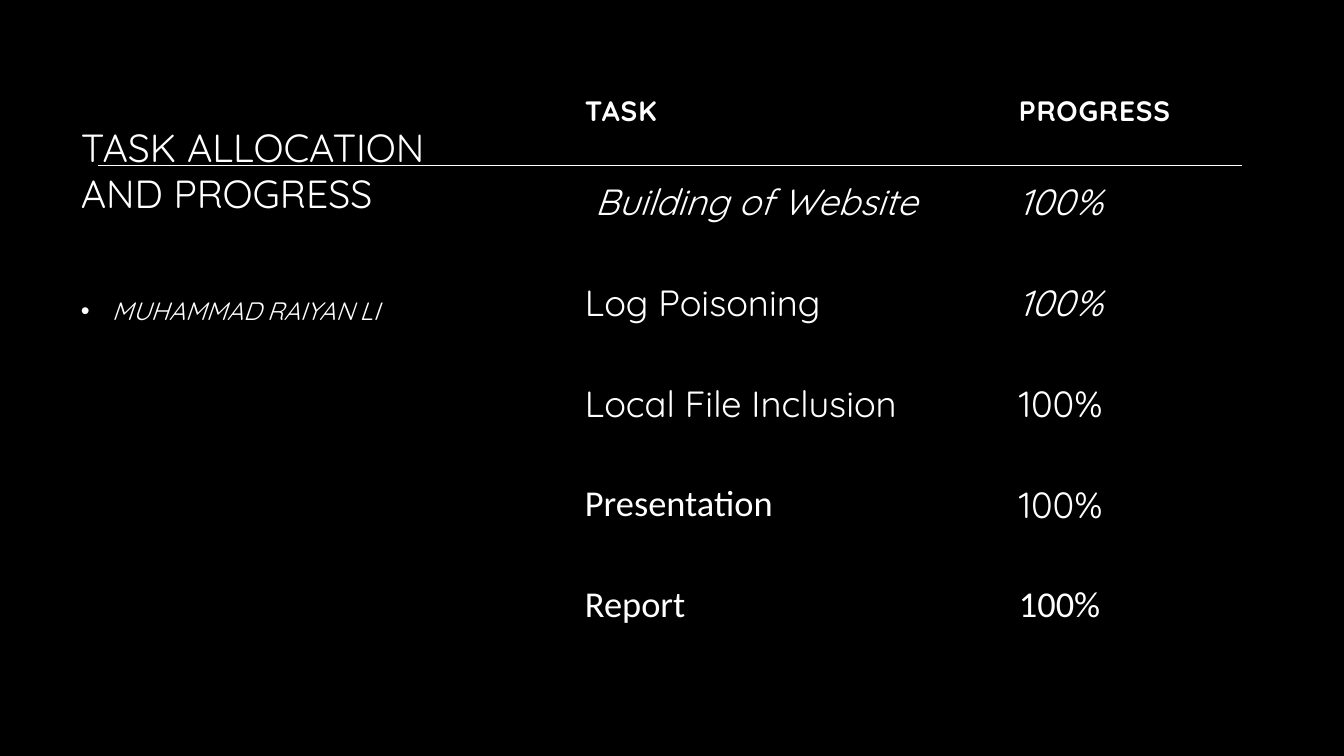
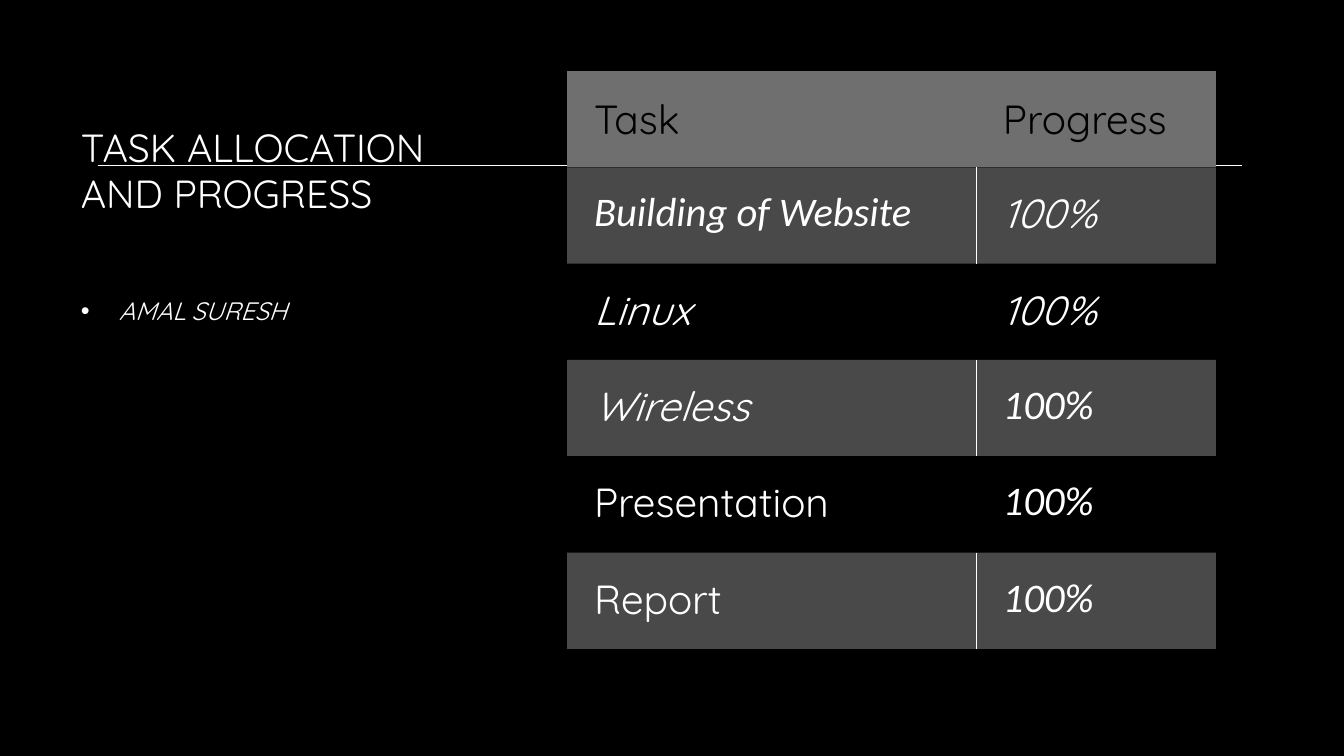
from lxml import etree
from pptx import Presentation
from pptx.dml.color import RGBColor
from pptx.enum.shapes import MSO_CONNECTOR
from pptx.enum.text import MSO_ANCHOR
from pptx.oxml.ns import qn
from pptx.util import Emu, Pt

STRAIGHT = MSO_CONNECTOR.STRAIGHT
TOP, MIDDLE, BOTTOM = MSO_ANCHOR.TOP, MSO_ANCHOR.MIDDLE, MSO_ANCHOR.BOTTOM
SCALE = 12192000 / 1344
COLOURS = {"black": "000000", "white": "FFFFFF", "header": "6F6F6F", "band": "F2F2F2"}
MAIN, PLAIN = "Quicksand", "Calibri"
BAND_ALPHA = 30
NO_STYLE = "{2D5ABB26-0587-4C30-8999-92F81FD0307C}"


def px(length):
    return Emu(round(length * SCALE))


def colour(name):
    return RGBColor.from_string(COLOURS[name])


def add_span(para, text, size, font=MAIN, italic=False, bold=False, ink="white"):
    span = para.add_run()
    span.text = text
    span.font.size = Pt(size)
    span.font.name = font
    span.font.italic = italic
    span.font.bold = bold
    span.font.color.rgb = colour(ink)
    return span


def add_text_box(page, box, anchor):
    frame = page.shapes.add_textbox(*map(px, box)).text_frame
    frame.word_wrap = True
    frame.vertical_anchor = anchor
    return frame.paragraphs[0]


def add_rule(page, left, right, top):
    rule = page.shapes.add_connector(STRAIGHT, px(left), px(top), px(right), px(top))
    rule.line.color.rgb = colour("white")
    rule.line.width = Pt(0.25)
    etree.SubElement(rule._element.spPr, qn("a:effectLst"))


def add_bullet(para, indent):
    properties = para._p.get_or_add_pPr()
    properties.set("marL", str(px(indent)))
    properties.set("indent", str(-px(indent)))
    bullet_colour = etree.SubElement(properties, qn("a:buClr"))
    etree.SubElement(bullet_colour, qn("a:srgbClr"), val=COLOURS["white"])
    etree.SubElement(properties, qn("a:buFont"), typeface="Arial")
    etree.SubElement(properties, qn("a:buChar"), char="•")


def add_member_panel(page, box, member, indent):
    """Heading and team member in the left column."""
    left, top, width, height = box
    heading = add_text_box(page, (left, top, width, 210), MIDDLE)
    heading.line_spacing = 0.96
    add_span(heading, "TASK ALLOCATION AND PROGRESS", 28)

    name = add_text_box(page, (left, top + 227, width, height - 227), TOP)
    add_bullet(name, indent)
    name.line_spacing = 0.9
    name.space_after = Pt(6)
    span = add_span(name, member, 18, italic=True)
    span.font._element.set("cap", "small")


def add_grid(page, box, columns, row_heights):
    """Unstyled table with the given column widths and row heights."""
    table = page.shapes.add_table(
        len(row_heights), len(columns), *map(px, box)).table
    table._tbl.tblPr.find(qn("a:tableStyleId")).text = NO_STYLE
    table.horz_banding = False
    for column, width in zip(table.columns, columns):
        column.width = px(width)
    for row, height in zip(table.rows, row_heights):
        row.height = px(height)
    return table


def fill_cell(cell, fill, alpha=None):
    if fill is None:
        cell.fill.background()
        return
    cell.fill.solid()
    cell.fill.fore_color.rgb = colour(fill)
    if alpha:
        value = cell._tc.tcPr.find(".//" + qn("a:srgbClr"))
        etree.SubElement(value, qn("a:alpha"), val=str(alpha * 1000))


def set_cell(cell, margins, anchor):
    (cell.margin_left, cell.margin_top,
     cell.margin_right, cell.margin_bottom) = map(px, margins)
    cell.vertical_anchor = anchor
    return cell.text_frame.paragraphs[0]


def add_cell_border(cell, side):
    border = etree.Element(qn("a:" + side), w=str(Pt(0.5)))
    solid = etree.SubElement(border, qn("a:solidFill"))
    etree.SubElement(solid, qn("a:srgbClr"), val=COLOURS["white"])
    cell._tc.get_or_add_tcPr().insert(0, border)


def add_open_table(page, box, headings, tasks):
    """Table without bands, under small bold headings."""
    table = add_grid(page, box, (434, 267), [73] + [101] * len(tasks))
    for index, text in enumerate(headings):
        cell = table.cell(0, index)
        para = set_cell(cell, (44, 16, 34, 16), BOTTOM)
        fill_cell(cell, None)
        span = add_span(para, text, 20, bold=True)
        span.font._element.set("spc", "60")
    for row, entries in enumerate(tasks, 1):
        for index, (text, font, italic) in enumerate(entries):
            cell = table.cell(row, index)
            para = set_cell(cell, (44, 34, 34, 16), TOP)
            fill_cell(cell, None if row % 2 else "black")
            add_span(para, text, 26, font, italic)


def add_banded_table(page, box, headings, tasks):
    """Table with grey bands on every other row."""
    rows = len(tasks) + 1
    table = add_grid(page, box, (409, 240), [box[3] / rows] * rows)
    margins = (27, 21, 21, 21)
    for index, text in enumerate(headings):
        cell = table.cell(0, index)
        para = set_cell(cell, margins, MIDDLE)
        fill_cell(cell, "header")
        add_span(para, text, 29, ink="black")
    for row, entries in enumerate(tasks, 1):
        for index, (text, font, italic) in enumerate(entries):
            cell = table.cell(row, index)
            para = set_cell(cell, margins, TOP)
            if row % 2:
                fill_cell(cell, "band", BAND_ALPHA)
                add_cell_border(cell, ("lnR", "lnL")[index])
            else:
                fill_cell(cell, "black")
            add_span(para, text, 29, font, italic)


def add_page(deck, member, indent):
    """Black page with the rule and the left column."""
    page = deck.slides.add_slide(deck.slide_layouts[6])
    page.background.fill.solid()
    page.background.fill.fore_color.rgb = colour("black")
    add_rule(page, 98, 1242, 165)
    add_member_panel(page, (71, 67, 401, 582), member, indent)
    return page


def main():
    deck = Presentation()
    deck.slide_width, deck.slide_height = px(1344), px(756)

    # First member
    page = add_page(deck, "MUHAMMAD RAIYAN LI", 31)
    add_open_table(page, (541, 72, 701, 578), ("TASK", "PROGRESS"), [
        ((" Building of Website", MAIN, True), ("100%", MAIN, True)),
        (("Log Poisoning", MAIN, False), ("100%", MAIN, True)),
        (("Local File Inclusion", MAIN, False), ("100%", MAIN, False)),
        (("Presentation", PLAIN, False), ("100%", MAIN, False)),
        (("Report", PLAIN, False), ("100%", PLAIN, False)),
    ])

    # Second member
    page = add_page(deck, "AMAL SURESH", 38)
    add_banded_table(page, (567, 71, 649, 578), ("Task", "Progress"), [
        (("Building of Website", PLAIN, True), ("100%", MAIN, True)),
        (("Linux", MAIN, True), ("100%", MAIN, True)),
        (("Wireless", MAIN, True), ("100%", PLAIN, True)),
        (("Presentation", MAIN, False), ("100%", PLAIN, True)),
        (("Report", MAIN, False), ("100%", PLAIN, True)),
    ])
    deck.save("out.pptx")


if __name__ == "__main__":
    main()
